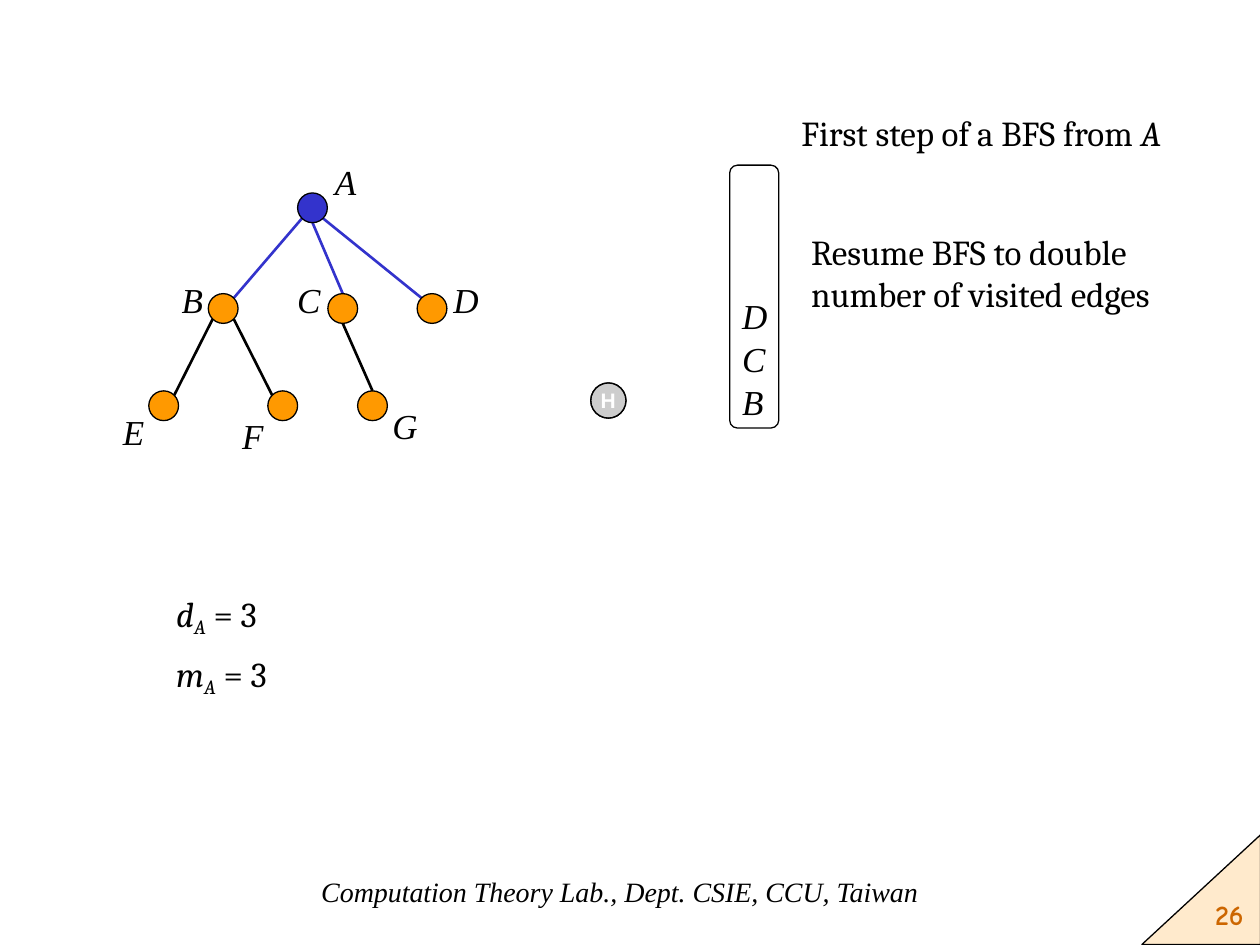
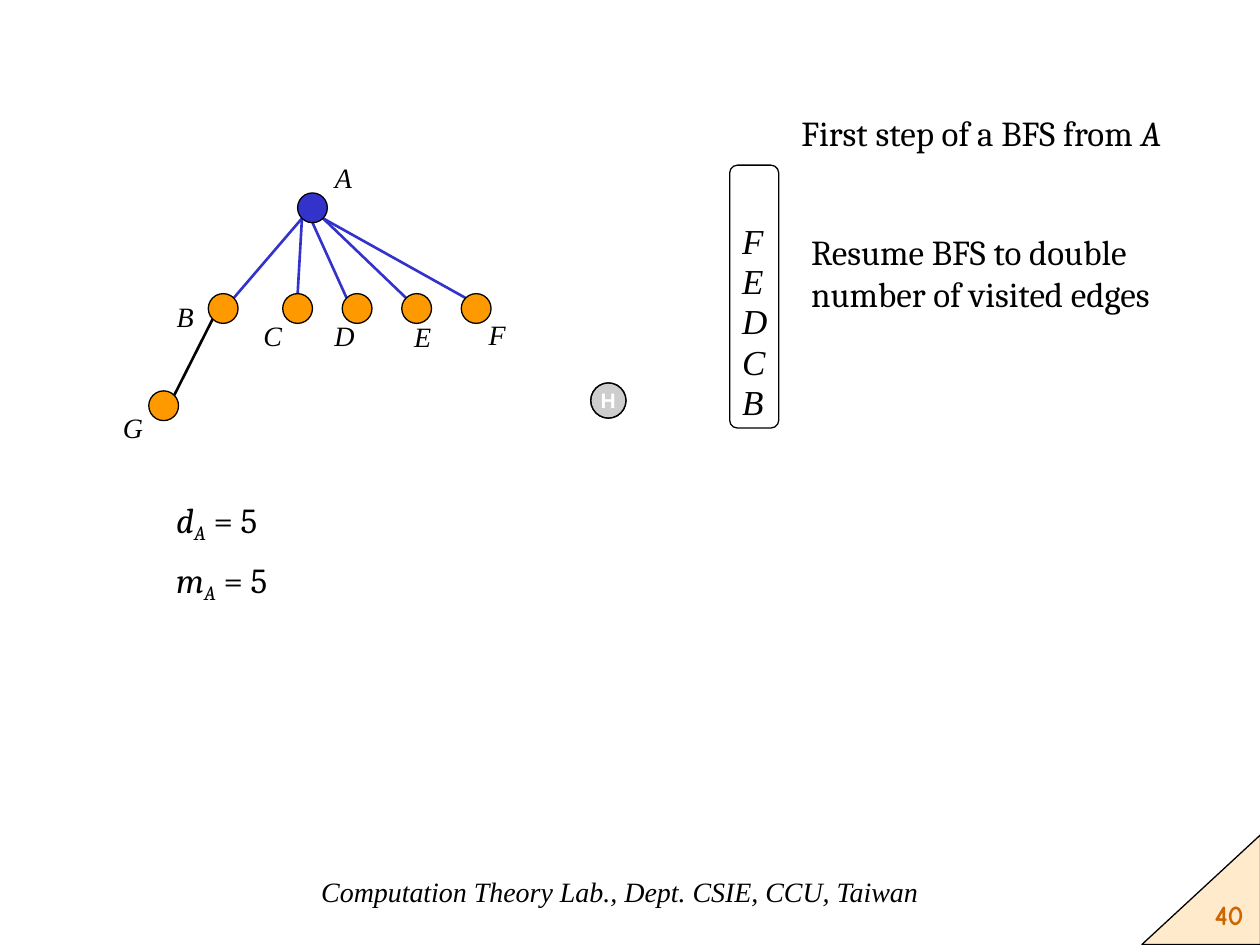
from dataclasses import dataclass
from math import cos, radians, sin

from lxml.etree import SubElement
from pptx import Presentation
from pptx.dml.color import RGBColor
from pptx.enum.shapes import MSO_CONNECTOR, MSO_SHAPE
from pptx.enum.text import MSO_ANCHOR, MSO_AUTO_SIZE, PP_ALIGN
from pptx.oxml.ns import qn
from pptx.util import Cm, Pt

BLACK = RGBColor(0x00, 0x00, 0x00)
WHITE = RGBColor(0xFF, 0xFF, 0xFF)
BLUE = RGBColor(0x33, 0x33, 0xCC)
ORANGE = RGBColor(0xFF, 0x99, 0x00)
GREY = RGBColor(0xB2, 0xB2, 0xB2)
BROWN = RGBColor(0xCC, 0x66, 0x00)

SERIF = "Times New Roman"
BODY = "Cambria"
FOOTER = "Computation Theory Lab., Dept. CSIE, CCU, Taiwan"
NODE_SIZE = 0.6
LEVELS = (0.3, 2.33, 4.29)
ANGLES = {"n": 270, "ne": 315, "se": 45, "s": 90, "sw": 135, "nw": 225}


@dataclass
class Node:
    """A tree node: centre, label offset, and the edge from its parent."""
    name: str
    x: float
    level: int
    label_x: float
    label_y: float
    parent: str = ""
    leaves: str = ""
    enters: str = ""


@dataclass
class Run:
    """A piece of text with its own slant and baseline."""
    text: str
    italic: bool = False
    subscript: bool = False


def write_runs(frame, runs, font=BODY, size=20, color=BLACK, bold=False,
               align=PP_ALIGN.LEFT, wrap=True):
    """Fill the first paragraph of a text frame run by run."""
    frame.word_wrap = wrap
    frame.auto_size = MSO_AUTO_SIZE.NONE
    paragraph = frame.paragraphs[0]
    paragraph.alignment = align
    for part in runs:
        run = paragraph.add_run()
        run.text = part.text
        run.font.name = font
        run.font.size = Pt(size)
        run.font.bold = bold
        run.font.italic = part.italic
        run.font.color.rgb = color
        if part.subscript:
            run._r.get_or_add_rPr().set("baseline", "-20000")


def add_text(slide, left, top, width, height, runs, **style):
    """Add a text box measured in centimetres."""
    box = slide.shapes.add_textbox(Cm(left), Cm(top), Cm(width), Cm(height))
    write_runs(box.text_frame, runs, **style)


def add_outlined(slide, kind, left, top, width, height, fill=None, opacity=100):
    """Add a thinly outlined preset shape without shadow."""
    shape = slide.shapes.add_shape(kind, Cm(left), Cm(top), Cm(width), Cm(height))
    shape.shadow.inherit = False
    shape.line.color.rgb = BLACK
    shape.line.width = Pt(0.75)
    if fill is None:
        shape.fill.background()
        return shape
    shape.fill.solid()
    shape.fill.fore_color.rgb = fill
    if opacity < 100:
        color = shape._element.spPr.find(qn("a:solidFill"))[0]
        SubElement(color, qn("a:alpha"), val=str(opacity * 1000))
    return shape


def rim_point(node, side):
    """Return the point of a node's rim that faces the given side."""
    angle = radians(ANGLES[side])
    radius = NODE_SIZE / 2
    return node.x + radius * cos(angle), LEVELS[node.level] + radius * sin(angle)


def add_edge(slide, left, top, parent, child):
    """Join a child to its parent; edges of the root are blue."""
    start_x, start_y = rim_point(parent, child.leaves)
    end_x, end_y = rim_point(child, child.enters)
    edge = slide.shapes.add_connector(
        MSO_CONNECTOR.STRAIGHT, Cm(left + start_x), Cm(top + start_y),
        Cm(left + end_x), Cm(top + end_y))
    edge.line.color.rgb = BLACK if parent.parent else BLUE
    edge.line.width = Pt(1.5)
    SubElement(edge._element.spPr, qn("a:effectLst"))


def draw_tree(slide, left, top, nodes, label_size):
    """Draw edges, nodes and labels of a tree from its top left corner."""
    by_name = {node.name: node for node in nodes}
    for node in nodes:
        if node.parent:
            add_edge(slide, left, top, by_name[node.parent], node)
    for node in nodes:
        x, y = left + node.x, top + LEVELS[node.level]
        add_outlined(slide, MSO_SHAPE.OVAL, x - NODE_SIZE / 2, y - NODE_SIZE / 2,
                     NODE_SIZE, NODE_SIZE, ORANGE if node.parent else BLUE)
        add_text(slide, x + node.label_x, y + node.label_y, 1.19, 1.12,
                 [Run(node.name, italic=True)], font=SERIF, size=label_size)


def draw_queue(slide, left, top, width, height, names, step):
    """Draw the queue with its first entry at the bottom."""
    frame = add_outlined(slide, MSO_SHAPE.ROUNDED_RECTANGLE, left, top, width, height)
    frame.adjustments[0] = 0.16
    for index, name in enumerate(names):
        add_text(slide, left, top + height - 1.09 - index * step, width, 1.12,
                 [Run(name, italic=True)], font=SERIF)


def draw_faded_node(slide, left, top, size):
    """Draw the unvisited node H as two translucent discs."""
    for _ in range(2):
        disc = add_outlined(slide, MSO_SHAPE.OVAL, left, top, size, size, GREY, 40)
    disc.text_frame.vertical_anchor = MSO_ANCHOR.MIDDLE
    write_runs(disc.text_frame, [Run("H")], font="Arial", size=12, color=WHITE,
               bold=True, align=PP_ALIGN.CENTER, wrap=False)


def draw_counts(slide, left, top, count):
    """Write the degree and the edge count of A, one below the other."""
    for index, symbol in enumerate("dm"):
        add_text(slide, left, top + index * 1.21, 3.61, 1.19,
                 [Run(symbol, italic=True), Run("A", italic=True, subscript=True),
                  Run(f" = {count}")])


def draw_title(slide, left, top, width, height):
    """Place the title at the top right."""
    title = slide.shapes.title
    title.left, title.top, title.width, title.height = map(
        Cm, (left, top, width, height))
    title.text_frame.vertical_anchor = MSO_ANCHOR.TOP
    write_runs(title.text_frame,
               [Run("First step of a BFS from "), Run("A", italic=True)])


def draw_footer(slide, number):
    """Draw the corner, the footer line and the slide number."""
    corner = add_outlined(slide, MSO_SHAPE.RIGHT_TRIANGLE, 23.11, 16.74, 2.21, 2.39,
                          ORANGE, 20)
    corner.rotation = 270
    add_text(slide, 5.89, 17.5, 13.21, 1.32, [Run(FOOTER, italic=True)],
             font=SERIF, size=16, align=PP_ALIGN.CENTER)
    add_text(slide, 23.52, 17.96, 1.8, 1.32, [Run(str(number))],
             font="Comic Neue", size=16, color=BROWN, bold=True,
             align=PP_ALIGN.RIGHT)


def add_search_slide(presentation, number, nodes, label_size, queue, step, counts_top):
    """Add one slide of the breadth-first search."""
    slide = presentation.slides.add_slide(presentation.slide_layouts[5])
    draw_title(slide, 15.9, 2.13, 8.99, 1.96)
    draw_footer(slide, number)
    draw_tree(slide, 3, 3.89, nodes, label_size)
    draw_queue(slide, 14.71, 3.33, 0.99, 5.3, queue, step)
    draw_faded_node(slide, 11.91, 7.72, 0.71)
    add_text(slide, 16.1, 4.52, 8.99, 1.96,
             [Run("Resume BFS to double number of visited edges")])
    draw_counts(slide, 3.3, counts_top, len(queue))


def main():
    """Build and save both slides."""
    presentation = Presentation()
    presentation.slide_width = Cm(25.4)
    presentation.slide_height = Cm(19.05)

    root = Node("A", 3.3, 0, 0.2, -1.07)
    three_children = [
        root,
        Node("B", 1.5, 1, -1.09, -0.74, "A", "sw", "ne"),
        Node("C", 3.91, 1, -1.17, -0.74, "A", "s", "n"),
        Node("D", 5.71, 1, 0.18, -0.74, "A", "se", "nw"),
        Node("E", 0.3, 2, -1.07, -0.03, "B", "sw", "ne"),
        Node("F", 2.7, 2, -1.07, 0.05, "B", "se", "nw"),
        Node("G", 4.51, 2, 0.15, -0.15, "C", "s", "n"),
    ]
    five_children = [
        root,
        Node("B", 1.5, 1, -1.19, -0.3, "A", "sw", "ne"),
        Node("C", 3, 1, -0.94, 0.08, "A", "sw", "n"),
        Node("D", 4.2, 1, -0.71, 0.08, "A", "s", "nw"),
        Node("E", 5.4, 1, -0.3, 0.1, "A", "se", "nw"),
        Node("F", 6.6, 1, 0, 0.05, "A", "se", "nw"),
        Node("G", 0.3, 2, -1.07, -0.03, "B", "sw", "ne"),
    ]
    add_search_slide(presentation, 26, three_children, 20, "BCD", 0.86, 11.81)
    add_search_slide(presentation, 40, five_children, 16, "BCDEF", 0.81, 9.93)
    presentation.save("out.pptx")


if __name__ == "__main__":
    main()
